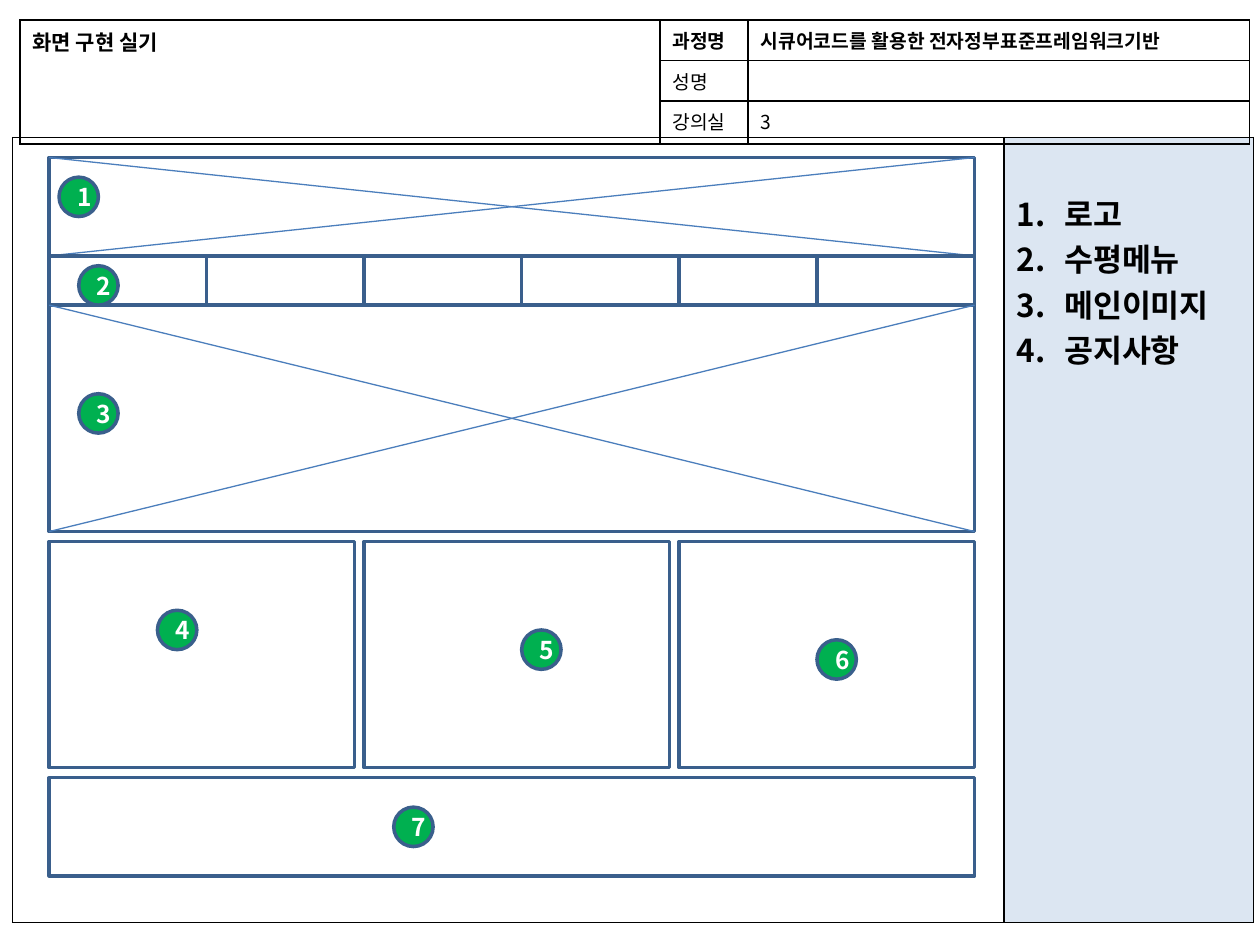
from dataclasses import dataclass

from pptx import Presentation
from pptx.dml.color import RGBColor
from pptx.enum.shapes import MSO_CONNECTOR, MSO_SHAPE
from pptx.enum.text import MSO_ANCHOR, PP_ALIGN
from pptx.oxml.ns import qn
from pptx.util import Pt
from lxml.etree import SubElement


@dataclass(frozen=True)
class Theme:
    """Colours, font and type sizes of the slide."""
    font: str = "Noto Sans CJK KR"
    black: RGBColor = RGBColor(0x00, 0x00, 0x00)
    white: RGBColor = RGBColor(0xFF, 0xFF, 0xFF)
    frame: RGBColor = RGBColor(0x3A, 0x5F, 0x8C)
    cross: RGBColor = RGBColor(0x4B, 0x7E, 0xBC)
    badge: RGBColor = RGBColor(0x00, 0xB0, 0x50)
    panel: RGBColor = RGBColor(0xDC, 0xE6, 0xF2)
    list_size: int = 18
    badge_size: int = 14
    heading_size: int = 12
    label_size: int = 11


THEME = Theme()
LEFT, WIDTH = 5, 94  # wireframe extent in grid units
LEGEND = ["로고", "수평메뉴", "메인이미지", "공지사항"]
BADGES = [(6, 18), (8, 27), (8, 40), (16, 62), (53, 64), (83, 65), (40, 82)]


def grid(*units):
    """Turn wireframe grid units of 5.625 points into lengths."""
    return [Pt(unit * 45 / 8) for unit in units]


def write(paragraph, text, size, color=THEME.black, bold=True):
    """Write one formatted run into a paragraph."""
    run = paragraph.add_run()
    run.text = text
    run.font.color.rgb = color
    formats = {"name": THEME.font, "size": Pt(size), "bold": bold}
    for attribute, value in formats.items():
        setattr(run.font, attribute, value)
    SubElement(run.font._element, qn("a:ea"), typeface=THEME.font)


def add_grid_table(slide, place, columns, heights):
    """Add an unfilled table with thin black borders."""
    frame = slide.shapes.add_table(len(heights), len(columns), *map(Pt, place))
    table = frame.table
    table.first_row = table.horz_banding = False
    for column, width in zip(table.columns, columns):
        column.width = Pt(width)
    for row, height in zip(table.rows, heights):
        row.height = Pt(height)
    for cell in table.iter_cells():
        properties = cell._tc.get_or_add_tcPr()
        for side in ("lnL", "lnR", "lnT", "lnB"):
            border = SubElement(properties, qn(f"a:{side}"), w=str(Pt(1)))
            fill = SubElement(border, qn("a:solidFill"))
            SubElement(fill, qn("a:srgbClr"), val=str(THEME.black))
        cell.fill.background()
    return table


def add_body(slide):
    """Add the page frame with the numbered legend at its right."""
    table = add_grid_table(slide, (7.2, 78.7, 709.2, 448.56),
                           (566.64, 142.56), (448.56,))
    legend = table.cell(0, 1)
    legend.fill.solid()
    legend.fill.fore_color.rgb = THEME.panel
    legend.margin_top = Pt(29.7)
    for index, entry in enumerate(LEGEND):
        paragraphs = legend.text_frame
        paragraph = paragraphs.add_paragraph() if index else paragraphs.paragraphs[0]
        properties = paragraph._p.get_or_add_pPr()
        properties.set("marL", str(Pt(27)))
        properties.set("indent", str(-Pt(27)))
        SubElement(properties, qn("a:buFont"), typeface="+mj-lt")
        SubElement(properties, qn("a:buAutoNum"), type="arabicPeriod")
        write(paragraph, entry, THEME.list_size)


def add_header(slide):
    """Add the course details above the page frame."""
    table = add_grid_table(slide, (11.3, 11.3, 703.3, 61.2),
                           (365.76, 50.4, 286.56), (18.72,) * 3)
    details = [("과정명", "시큐어코드를 활용한 전자정부표준프레임워크기반"),
               ("성명", ""), ("강의실", "3")]
    for row, pair in enumerate(details):
        for column, text in enumerate(pair, start=1):
            paragraph = table.cell(row, column).text_frame.paragraphs[0]
            if text:
                write(paragraph, text, THEME.label_size, bold=row == 0)
    title = table.cell(0, 0)
    write(title.text_frame.paragraphs[0], "화면 구현 실기", THEME.heading_size)
    for cell in table.iter_cells():
        if not cell.text:
            SubElement(cell.text_frame.paragraphs[0]._p, qn("a:endParaRPr"),
                       sz=str(THEME.label_size * 100))
    title.merge(table.cell(2, 0))


def add_outlined(slide, kind, place, fill):
    """Add a filled shape with the wireframe outline."""
    shape = slide.shapes.add_shape(kind, *grid(*place))
    shape.shadow.inherit = False
    shape.fill.solid()
    shape.fill.fore_color.rgb = fill
    shape.line.color.rgb = THEME.frame
    shape.line.width = Pt(2)
    return shape


def add_box(slide, *place):
    """Add an empty wireframe box."""
    add_outlined(slide, MSO_SHAPE.RECTANGLE, place, THEME.white)


def add_crossed_box(slide, left, top, width, height):
    """Add a box whose diagonals mark an image area."""
    add_box(slide, left, top, width, height)
    right, bottom = left + width, top + height
    for ends in ((left, top, right, bottom), (right, top, left, bottom)):
        diagonal = slide.shapes.add_connector(MSO_CONNECTOR.STRAIGHT, *grid(*ends))
        diagonal.line.color.rgb = THEME.cross
        diagonal.line.width = Pt(0.75)
        SubElement(diagonal._element.spPr, qn("a:effectLst"))


def add_badge(slide, number, left, top):
    """Add a numbered green circle."""
    badge = add_outlined(slide, MSO_SHAPE.OVAL, (left, top, 4, 4), THEME.badge)
    badge.text_frame.vertical_anchor = MSO_ANCHOR.MIDDLE
    paragraph = badge.text_frame.paragraphs[0]
    paragraph.alignment = PP_ALIGN.CENTER
    write(paragraph, str(number), THEME.badge_size, THEME.white)


def main():
    """Build the slide and save it."""
    deck = Presentation()
    deck.slide_width, deck.slide_height = Pt(720), Pt(540)
    slide = deck.slides.add_slide(deck.slide_layouts[6])
    add_body(slide)
    add_header(slide)
    add_crossed_box(slide, LEFT, 16, WIDTH, 10)
    right = LEFT + WIDTH
    for menu_left in (*range(LEFT, 70, 16), right - 16):
        add_box(slide, menu_left, 26, 16, 5)
    add_crossed_box(slide, LEFT, 31, WIDTH, 23)
    for notice_left in range(LEFT, 70, 32):
        add_box(slide, notice_left, 55, min(31, right - notice_left), 23)
    add_box(slide, LEFT, 79, WIDTH, 10)
    for number, (left, top) in enumerate(BADGES, start=1):
        add_badge(slide, number, left, top)
    deck.save("out.pptx")


main()
